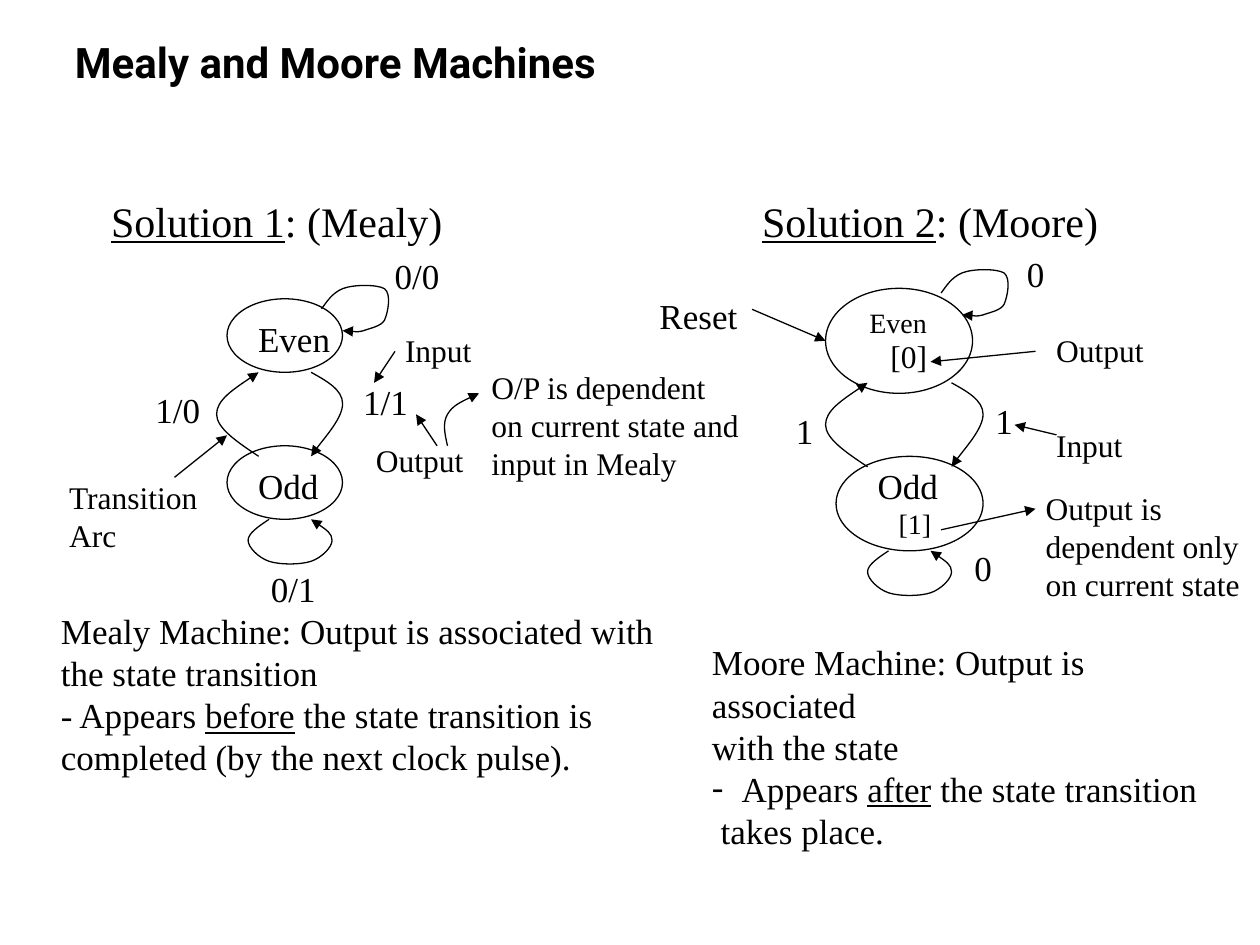
from lxml.etree import SubElement
from pptx import Presentation
from pptx.dml.color import RGBColor
from pptx.enum.shapes import MSO_CONNECTOR, MSO_SHAPE
from pptx.enum.text import MSO_ANCHOR, MSO_AUTO_SIZE, PP_ALIGN
from pptx.oxml.ns import qn
from pptx.util import Pt

BLACK = RGBColor(0, 0, 0)
BODY_FONT = "Times New Roman"

presentation = Presentation()
presentation.slide_width = Pt(720)
presentation.slide_height = Pt(540)
slide = presentation.slides.add_slide(presentation.slide_layouts[5])
shapes = slide.shapes


def add_text(left, top, width, height, size, lines, wrap=False):
    """Add a text box, one paragraph a line; words between underscores are underlined."""
    text_box = shapes.add_textbox(Pt(left), Pt(top), Pt(width), Pt(height))
    frame = text_box.text_frame
    frame.word_wrap = wrap
    for number, line in enumerate(lines):
        paragraph = frame.paragraphs[0] if number == 0 else frame.add_paragraph()
        for part, text in enumerate(line.split("_")):
            if text:
                run = paragraph.add_run()
                run.text = text
                run.font.name = BODY_FONT
                run.font.size = Pt(size)
                run.font.color.rgb = BLACK
                if part % 2:
                    run.font.underline = True
    return frame


def style_arrow(shape):
    shape.line.color.rgb = BLACK
    shape.line.width = Pt(0.75)
    properties = shape.element.spPr
    SubElement(properties.find(qn("a:ln")), qn("a:tailEnd"), type="triangle")
    if properties.find(qn("a:effectLst")) is None:
        SubElement(properties, qn("a:effectLst"))


# Title
title = shapes.title
title.left, title.top, title.width, title.height = Pt(35.6), Pt(17.5), Pt(340.5), Pt(36)
title_frame = title.text_frame
title_frame.word_wrap = False
title_frame.auto_size = MSO_AUTO_SIZE.NONE
title_frame.vertical_anchor = MSO_ANCHOR.TOP
title_paragraph = title_frame.paragraphs[0]
title_paragraph.alignment = PP_ALIGN.LEFT
title_run = title_paragraph.add_run()
title_run.text = "Mealy and Moore Machines"
title_run.font.name = "Roboto"
title_run.font.size = Pt(24)
title_run.font.bold = True
title_run.font.color.rgb = BLACK

# States
for left, top, width, height in [
    (129.75, 170.75, 66, 42), (129.75, 254.75, 66, 42),
    (471.75, 164.75, 84, 60), (477.75, 260.75, 84, 54),
]:
    state = shapes.add_shape(MSO_SHAPE.OVAL, Pt(left), Pt(top), Pt(width), Pt(height))
    state.shadow.inherit = False
    state.fill.background()
    state.line.color.rgb = BLACK
    state.line.width = Pt(0.75)

# Curved arrows: Bezier points relative to the start, three to a segment
UPPER_LOOP = [(3, -4), (6, -9), (12, -11.5), (18, -14), (32, -14), (36, -11.5),
              (40, -8.5), (38, 2), (36, 6.5), (34, 10), (28, 11), (24, 12.5),
              (20, 13.5), (14.5, 12.5), (12, 12.5)]
LOWER_LOOP = [(-6, 4), (-12, 8), (-12, 12), (-12, 16), (-6, 22), (0, 24),
              (6, 26), (18, 26), (24, 24), (30, 22), (36, 16), (36, 12),
              (36, 8), (30, 4), (24, 0)]
DOWN_ARC = [(9, 5), (18, 10), (18, 18), (18, 26), (3, 43), (0, 48)]
UP_ARC = [(-12, -8), (-24, -16), (-24, -24), (-24, -32), (-12, -40), (0, -48)]
NOTE_ARC = [(-1.5, -6.5), (-3, -13), (0, -18), (3, -23), (10.5, -26.5), (18, -30)]

for x, y, controls in [
    (183.75, 176.5, UPPER_LOOP), (177.75, 212.75, DOWN_ARC),
    (147.75, 260.75, UP_ARC), (153.75, 296.75, LOWER_LOOP),
    (537.75, 167.5, UPPER_LOOP), (543.75, 218.75, DOWN_ARC),
    (495.75, 266.75, UP_ARC), (507.75, 314.75, LOWER_LOOP),
    (255.75, 254.75, NOTE_ARC),
]:
    builder = shapes.build_freeform(Pt(x), Pt(y))
    builder.add_line_segments([(Pt(x + dx), Pt(y + dy)) for dx, dy in controls], close=False)
    curve = builder.convert_to_shape()
    outline = next(curve.element.iter(qn("a:path")))
    line_segments = outline.findall(qn("a:lnTo"))
    for index in range(0, len(line_segments), 3):
        bezier = SubElement(outline, qn("a:cubicBezTo"))
        for segment in line_segments[index:index + 3]:
            bezier.append(segment.find(qn("a:pt")))
            outline.remove(segment)
    curve.shadow.inherit = False
    curve.fill.background()
    style_arrow(curve)

# Straight arrows
for x1, y1, x2, y2 in [
    (429.75, 176.75, 471.75, 194.75),
    (591.75, 200.75, 531.75, 206.75),
    (603.75, 248.5, 579.75, 242.75),
    (249.75, 254.75, 237.75, 236.75),
    (225.75, 200.75, 213.75, 218.75),
    (99.75, 272.75, 129.75, 248.75),
    (537.75, 302.75, 591.75, 290.75),
]:
    arrow = shapes.add_connector(MSO_CONNECTOR.STRAIGHT, Pt(x1), Pt(y1), Pt(x2), Pt(y2))
    style_arrow(arrow)

# Headings and labels
for left, top, width, height, size, lines in [
    (56.4, 108, 204, 36, 24, ["_Solution 1_: (Mealy)"]),
    (428.4, 108, 206.5, 36, 24, ["_Solution 2_: (Moore)"]),
    (218.4, 142, 40, 31, 20, ["0/0"]),
    (140.4, 178, 55.5, 31, 20, ["Even"]),
    (140.4, 262, 49, 31, 20, ["Odd"]),
    (200.4, 214, 40, 31, 20, ["1/1"]),
    (81.75, 218.75, 40, 31, 20, ["1/0"]),
    (147.75, 320.75, 40, 31, 20, ["0/1"]),
    (579.75, 140.75, 24.5, 31, 20, ["0"]),
    (489.75, 170.75, 47.5, 26.5, 16, ["Even"]),
    (561.75, 224.75, 24.5, 31, 20, ["1"]),
    (447.75, 230.5, 24.5, 31, 20, ["1"]),
    (549.75, 309, 24.5, 31, 20, ["0"]),
    (369.75, 165, 59, 31, 20, ["Reset"]),
    (501.75, 188.75, 35.5, 29, 18, ["[0]"]),
    (596.4, 185.75, 65, 29, 18, ["Output"]),
    (596.4, 240, 52.5, 29, 18, ["Input"]),
    (207.75, 248.5, 65, 29, 18, ["Output"]),
    (224.4, 185.75, 52.5, 29, 18, ["Input"]),
    (32.4, 269.75, 93, 50.5, 18, ["Transition", "Arc"]),
    (590.4, 276, 129.5, 72, 18, ["Output is", "dependent only", "on current state"]),
    (273.75, 206.75, 156, 72, 18,
     ["O/P is dependent", "on current state and", "input in Mealy"]),
]:
    add_text(left, top, width, height, size, lines)

odd_frame = add_text(494.4, 262, 49, 50.5, 20, ["Odd", "[1]"])
odd_output = odd_frame.paragraphs[1]
odd_output.runs[0].font.size = Pt(16)
odd_output._p.get_or_add_pPr().set("marL", str(Pt(12)))

# Explanations
add_text(27.75, 345, 355, 103, 20, [
    "Mealy Machine: Output is associated with the state transition",
    "- Appears _before_ the state transition is completed (by the next clock pulse).",
], wrap=True)
moore_frame = add_text(399.75, 362.75, 314, 103, 20, [
    "Moore Machine: Output is associated",
    "with the state",
    "Appears _after_ the state transition",
    "takes place.",
], wrap=True)
bullet_properties = moore_frame.paragraphs[2]._p.get_or_add_pPr()
bullet_properties.set("marL", str(Pt(17)))
bullet_properties.set("indent", str(-Pt(17)))
SubElement(bullet_properties, qn("a:buFont"), typeface=BODY_FONT)
SubElement(bullet_properties, qn("a:buChar"), char="-")
moore_frame.paragraphs[3]._p.get_or_add_pPr().set("marL", str(Pt(5)))

presentation.save("out.pptx")
